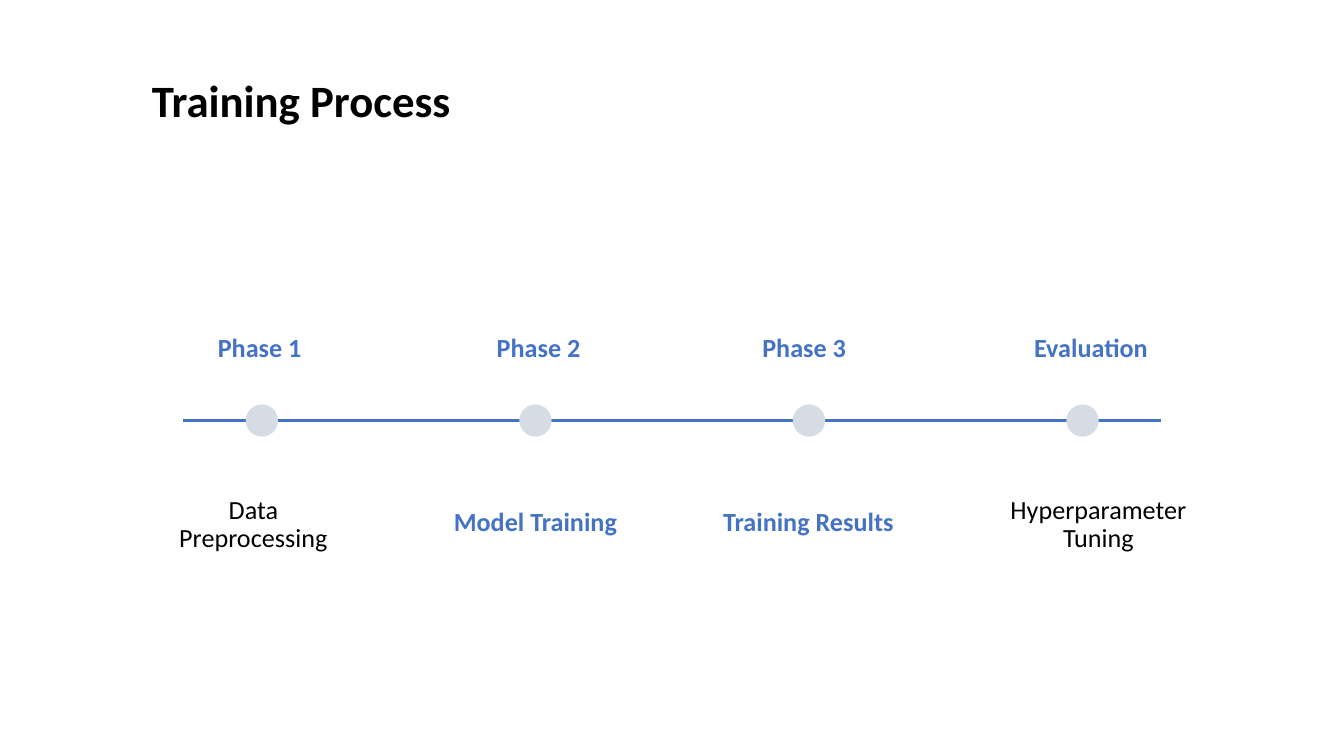
from dataclasses import dataclass

from lxml import etree
from pptx import Presentation, util as u
from pptx.dml.color import RGBColor
from pptx.enum import shapes, text
from pptx.oxml.ns import qn


@dataclass(frozen=True)
class Theme:
    font: str = "Calibri"
    ink: str = "000000"
    accent: str = "4472C4"
    dot: str = "D6DCE5"
    title_size: int = 24
    label_size: int = 14


THEME = Theme()
TITLE = "Training Process"

# Each label has its text and its centre in cm.
PHASES = [
    {"name": ("Phase 1", 4.91), "detail": ("Data Preprocessing", 4.79), "strong": False},
    {"name": ("Phase 2", 10.18), "detail": ("Model Training", 10.12), "strong": True},
    {"name": ("Phase 3", 15.2), "detail": ("Training Results", 15.28), "strong": True},
    {"name": ("Evaluation", 20.62), "detail": ("Hyperparameter Tuning", 20.76), "strong": False},
]

# Layout in cm
LINE_LEFT, LINE_RIGHT, LINE_Y = 3.45, 21.95, 7.95
FIRST_DOT, DOT_STEP, DOT_SIZE = 4.95, 5.17, 0.61
LABEL_WIDTH, LABEL_HEIGHT = 4.24, 0.97
NAME_TOP = 6.09
STRONG_TOP, PLAIN_TOP, PLAIN_HEIGHT = 9.37, 9.14, 2
INSET = 0.25


def add_text(slide, wording, left, top, width, height, size, color, bold, align):
    box = slide.shapes.add_textbox(u.Cm(left), u.Cm(top), u.Cm(width), u.Cm(height))
    frame = box.text_frame
    frame.word_wrap = True
    frame.vertical_anchor = text.MSO_ANCHOR.TOP
    frame.margin_left = frame.margin_right = u.Cm(INSET)
    frame.margin_top = frame.margin_bottom = u.Cm(INSET)
    para = frame.paragraphs[0]
    para.alignment = align
    para.line_spacing = 0.9
    span = para.add_run()
    span.text = wording
    span.font.name = THEME.font
    span.font.size = u.Pt(size)
    span.font.bold = bold
    span.font.color.rgb = RGBColor.from_string(color)


def add_label(slide, label, top, height, strong):
    wording, centre = label
    add_text(slide, wording, centre - LABEL_WIDTH / 2, top, LABEL_WIDTH, height,
             THEME.label_size, THEME.accent if strong else THEME.ink, strong,
             text.PP_ALIGN.CENTER)


def add_timeline(slide):
    line = slide.shapes.add_connector(
        shapes.MSO_CONNECTOR.STRAIGHT,
        u.Cm(LINE_LEFT), u.Cm(LINE_Y), u.Cm(LINE_RIGHT), u.Cm(LINE_Y))
    line.line.color.rgb = RGBColor.from_string(THEME.accent)
    line.line.width = u.Pt(1.5)
    etree.SubElement(line._element.spPr, qn("a:effectLst"))

    for index in range(len(PHASES)):
        left = FIRST_DOT + index * DOT_STEP - DOT_SIZE / 2
        dot = slide.shapes.add_shape(
            shapes.MSO_SHAPE.OVAL, u.Cm(left), u.Cm(LINE_Y - DOT_SIZE / 2),
            u.Cm(DOT_SIZE), u.Cm(DOT_SIZE))
        dot.shadow.inherit = False
        dot.fill.solid()
        dot.fill.fore_color.rgb = RGBColor.from_string(THEME.dot)
        dot.line.fill.background()


def main():
    deck = Presentation()
    deck.slide_width, deck.slide_height = u.Cm(25.4), u.Cm(14.29)
    slide = deck.slides.add_slide(deck.slide_layouts[6])

    add_text(slide, TITLE, 2.62, 1.24, 13.06, 2.62,
             THEME.title_size, THEME.ink, True, text.PP_ALIGN.LEFT)
    for phase in PHASES:
        strong = phase["strong"]
        add_label(slide, phase["name"], NAME_TOP, LABEL_HEIGHT, True)
        add_label(slide, phase["detail"],
                  STRONG_TOP if strong else PLAIN_TOP,
                  LABEL_HEIGHT if strong else PLAIN_HEIGHT, strong)
    add_timeline(slide)
    deck.save("out.pptx")


if __name__ == "__main__":
    main()
